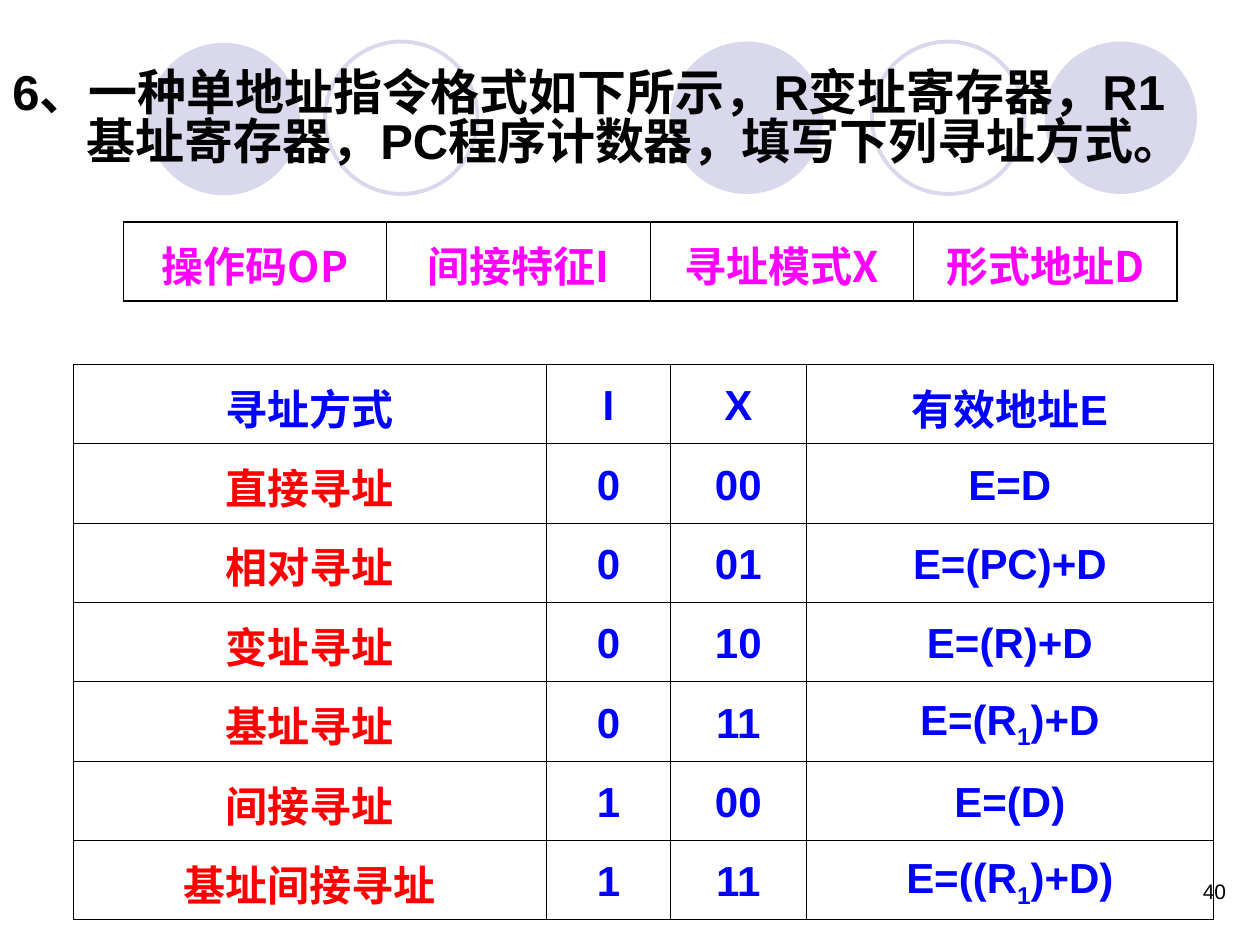
from lxml import etree
from pptx import Presentation
from pptx import util as u
from pptx.dml.color import RGBColor
from pptx.enum import shapes, text
from pptx.oxml.ns import qn

COLORS = {"black": "000000", "blue": "0000FF", "red": "FF0000",
          "magenta": "FF00FF", "lilac": "D9D8EC"}
LATIN, HAN = "Arial", "Noto Sans CJK SC"
THIN, THICK = 0.45, 1.08
ROW_HEIGHT = 0.63


class SlideBuilder:
    def __init__(self, page):
        self.page = page

    def color(self, name):
        return RGBColor.from_string(COLORS[name])

    def circle(self, left, top, filled):
        size = u.Inches(1.21)
        oval = self.page.shapes.add_shape(
            shapes.MSO_SHAPE.OVAL, u.Inches(left), u.Inches(top), size, size)
        oval.shadow.inherit = False
        if filled:
            oval.fill.solid()
            oval.fill.fore_color.rgb = self.color("lilac")
            oval.line.fill.background()
        else:
            oval.fill.background()
            oval.line.color.rgb = self.color("lilac")
            oval.line.width = u.Pt(2.25)

    def span(self, para, words, size, color, bold=True, font=LATIN, subscript=False):
        span = para.add_run()
        span.text = words
        span.font.size = u.Pt(size)
        span.font.bold = bold
        span.font.name = font
        span.font.color.rgb = self.color(color)
        props = span.font._element
        etree.SubElement(props, qn("a:ea")).set("typeface", HAN)
        if subscript:
            props.set("baseline", "-25000")

    def text(self, place, words, size, bold, align, anchor, hanging=0, spacing=None):
        box = self.page.shapes.add_textbox(*map(u.Inches, place))
        frame = box.text_frame
        frame.word_wrap = True
        frame.vertical_anchor = anchor
        para = frame.paragraphs[0]
        para.alignment = align
        para.line_spacing = spacing
        if hanging:
            props = para._p.get_or_add_pPr()
            props.set("marL", str(u.Inches(hanging)))
            props.set("indent", str(-u.Inches(hanging)))
        self.span(para, words, size, "black", bold)

    def border(self, cell, side, width):
        line = etree.SubElement(cell._tc.get_or_add_tcPr(), qn("a:" + side))
        line.set("w", str(u.Pt(width)))
        fill = etree.SubElement(line, qn("a:solidFill"))
        etree.SubElement(fill, qn("a:srgbClr")).set("val", COLORS["black"])

    def table(self, left, top, widths, rows, color, first_color, font, outer):
        frame = self.page.shapes.add_table(
            len(rows), len(widths), u.Inches(left), u.Inches(top),
            u.Inches(sum(widths)), u.Inches(ROW_HEIGHT * len(rows)))
        table = frame.table
        table.first_row = table.horz_banding = False
        for column, width in zip(table.columns, widths):
            column.width = u.Inches(width)
        last_row, last_column = len(rows) - 1, len(widths) - 1
        for r, row in enumerate(rows):
            table.rows[r].height = u.Inches(ROW_HEIGHT)
            for c, words in enumerate(row):
                cell = table.cell(r, c)
                cell.vertical_anchor = text.MSO_ANCHOR.MIDDLE
                para = cell.text_frame.paragraphs[0]
                para.alignment = text.PP_ALIGN.CENTER
                para.line_spacing = 1.1
                para.space_after = u.Pt(3)
                # Underscores enclose a subscript
                for i, part in enumerate(words.split("_")):
                    self.span(para, part, 24, first_color if r and c == 0 else color,
                              font=font, subscript=i % 2 == 1)
                edges = {"lnL": c == 0, "lnR": c == last_column,
                         "lnT": r == 0, "lnB": r == last_row}
                for side, is_outer in edges.items():
                    self.border(cell, side, outer if is_outer else THIN)
                cell.fill.background()


def main():
    deck = Presentation()
    deck.slide_width, deck.slide_height = u.Inches(10), u.Inches(7.5)
    builder = SlideBuilder(deck.slides.add_slide(deck.slide_layouts[6]))

    # Background circles
    for left, top, filled in [(5.32, 0.33, True), (8.29, 0.33, True), (1.17, 0.34, True),
                              (6.92, 0.33, False), (2.58, 0.33, False)]:
        builder.circle(left, top, filled)

    # Page number and question
    builder.text((7.5, 6.92, 2.33, 0.5), "40", 12, False,
                 text.PP_ALIGN.RIGHT, text.MSO_ANCHOR.TOP)
    builder.text((0, 0.33, 9.5, 1.25),
                 "6、一种单地址指令格式如下所示，R变址寄存器，R1基址寄存器，"
                 "PC程序计数器，填写下列寻址方式。",
                 28, True, text.PP_ALIGN.LEFT, text.MSO_ANCHOR.MIDDLE,
                 hanging=0.59, spacing=0.83)

    # Addressing modes
    modes = [("寻址方式", "I", "X", "有效地址E"),
             ("直接寻址", "0", "00", "E=D"),
             ("相对寻址", "0", "01", "E=(PC)+D"),
             ("变址寻址", "0", "10", "E=(R)+D"),
             ("基址寻址", "0", "11", "E=(R_1_)+D"),
             ("间接寻址", "1", "00", "E=(D)"),
             ("基址间接寻址", "1", "11", "E=((R_1_)+D)")]
    builder.table(0.58, 2.89, [3.76, 0.98, 1.08, 3.23], modes,
                  "blue", "red", LATIN, THIN)

    # Instruction format
    fields = [("操作码OP", "间接特征I", "寻址模式X", "形式地址D")]
    builder.table(0.98, 1.76, [2.09] * 4, fields, "magenta", "magenta", HAN, THICK)

    deck.save("out.pptx")


if __name__ == "__main__":
    main()
